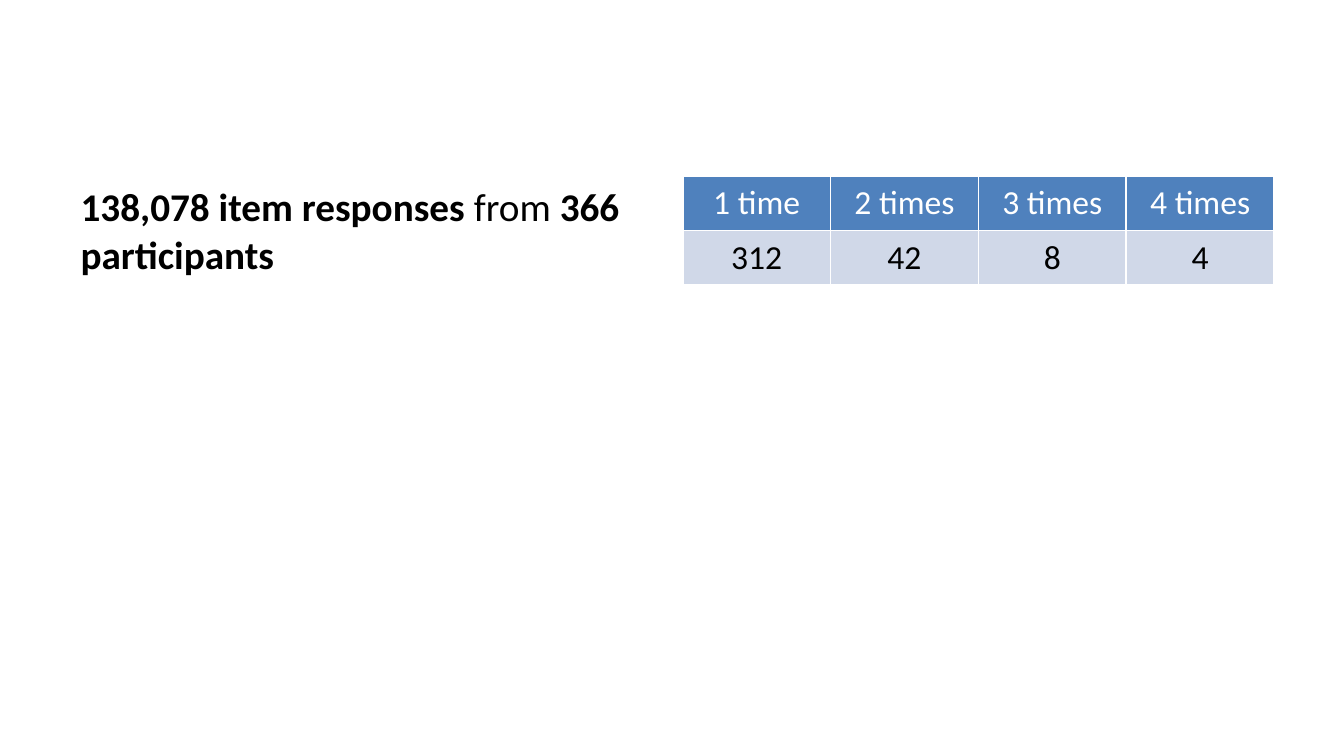
from lxml import etree
from pptx import Presentation
from pptx.dml.color import RGBColor
from pptx.enum import text
from pptx.oxml.ns import qn
from pptx.util import Inches, Pt

BLACK = RGBColor(0, 0, 0)
WHITE = RGBColor(255, 255, 255)
BLUE = RGBColor(0x4F, 0x81, 0xBD)
PALE = RGBColor(0xD0, 0xD8, 0xE8)

COUNTS = {"1 time": "312", "2 times": "42", "3 times": "8", "4 times": "4"}
SUMMARY = [("138,078 item responses", True), (" from ", False),
           ("366 participants", True)]


def add_run(para, words, color, **style):
    run = para.add_run()
    run.text = words
    run.font.name = "Calibri"
    run.font.color.rgb = color
    for key, value in style.items():
        setattr(run.font, key, value)


def fill_body(body):
    place = {"left": 0.5, "top": 1.31, "width": 4.42, "height": 3.71}
    for key, value in place.items():
        setattr(body, key, Inches(value))
    frame = body.text_frame
    frame.word_wrap = True
    frame.auto_size = text.MSO_AUTO_SIZE.NONE
    para = frame.paragraphs[0]
    para.space_before = Pt(4.2)
    props = para._p.get_or_add_pPr()
    for key in ("marL", "indent"):
        props.set(key, "0")
    etree.SubElement(props, qn("a:buNone"))
    for words, bold in SUMMARY:
        add_run(para, words, BLACK, size=Pt(21), bold=bold)


def fill_cell(cell, words, fill, color):
    cell.fill.solid()
    cell.fill.fore_color.rgb = fill
    para = cell.text_frame.paragraphs[0]
    para.alignment = text.PP_ALIGN.CENTER
    add_run(para, words, color, size=Pt(18), bold=False)


def add_counts(slide):
    frame = slide.shapes.add_table(2, len(COUNTS), Inches(5.08), Inches(1.31),
                                   Inches(1.1 * len(COUNTS)), Inches(0.8))
    for col, (times, count) in enumerate(COUNTS.items()):
        fill_cell(frame.table.cell(0, col), times, BLUE, WHITE)
        fill_cell(frame.table.cell(1, col), count, PALE, BLACK)


def main():
    deck = Presentation()
    deck.slide_width = Inches(10)
    deck.slide_height = deck.slide_width * 9 // 16
    slide = deck.slides.add_slide(deck.slide_layouts[1])
    title = slide.shapes.title.element
    title.getparent().remove(title)
    fill_body(slide.placeholders[1])
    add_counts(slide)
    deck.save("out.pptx")


if __name__ == "__main__":
    main()
